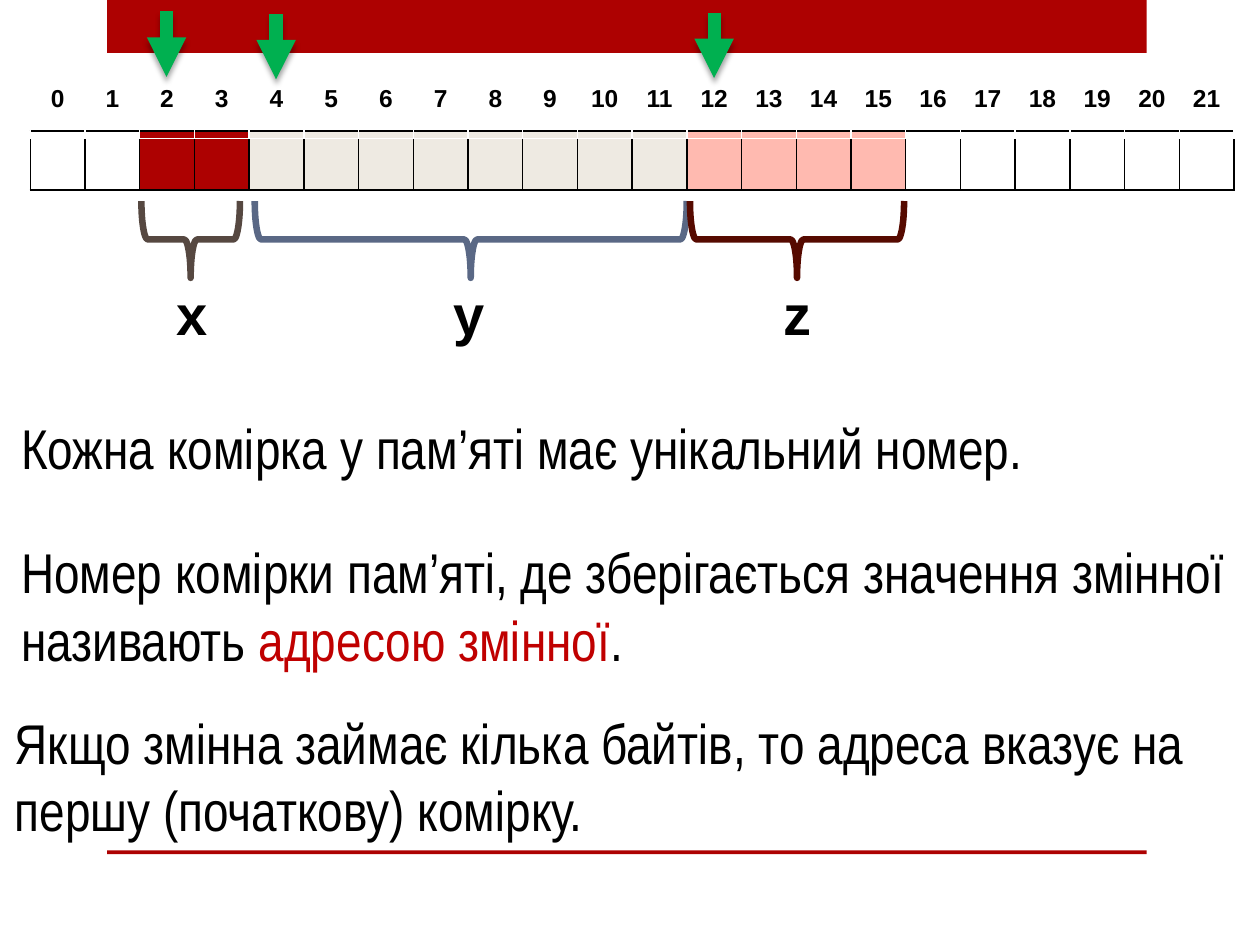
from dataclasses import dataclass
from lxml.etree import SubElement as Sub
from pptx import Presentation
from pptx.dml.color import RGBColor as Rgb
from pptx.enum.shapes import MSO_CONNECTOR as Link, MSO_SHAPE as Form
from pptx.enum.text import MSO_AUTO_SIZE as Fit, PP_ALIGN as Align
from pptx.oxml.ns import qn
from pptx.util import Inches, Pt


@dataclass(frozen=True)
class Theme:
    red: str = "AD0101"
    sand: str = "EEEAE2"
    pink: str = "FFBAB0"
    ink: str = "000000"
    mark: str = "C00000"
    green: str = "00B050"
    brown: str = "564841"
    blue: str = "5A6885"
    wine: str = "560A00"
    head: str = "Arial"
    body: str = "Arial Narrow"
    big: int = 32
    small: int = 14
    brace: float = 3.75
    arrow: float = 7.5
    edge: int = 1


T = Theme()
COLS, ROWS, CELLS = 100, 75, 22
VARS = [
    ("x", 2, 4, T.red, T.brown, 2.03, 3.83, 2.44, 0.9),
    ("y", 4, 12, T.sand, T.blue, 4.1, 11.99, 7.5, 1.1),
    ("z", 12, 16, T.pink, T.wine, 12.05, 15.96, 13.53, 1),
]
STRIP = (2.4, 10.4, 95.6, 4.7)
NUMS = (2.4, 6.3, 95.6, 4.7)
NOTES = [
    ((0.2, 32.3, 100, 6.4), [("Кожна комірка у пам’яті має унікальний номер.", T.ink)]),
    ((0.2, 42.2, 100, 11.8), [
        ("Номер комірки пам’яті, де зберігається значення змінної називають ", T.ink),
        ("адресою змінної", T.mark), (".", T.ink)]),
    ((-0.3, 55.7, 101.3, 11.8), [
        ("Якщо змінна займає кілька байтів, то адреса вказує на першу (початкову) комірку.", T.ink)]),
]

deck = Presentation()
deck.slide_width, deck.slide_height = Inches(10), Inches(7.5)
slide = deck.slides.add_slide(deck.slide_layouts[6])
shapes = slide.shapes


def place(*box):
    units = (deck.slide_width / COLS, deck.slide_height / ROWS) * 2
    return [round(n * u) for n, u in zip(box, units)]


def column(n):
    return STRIP[0] + n * STRIP[2] / CELLS


def add_run(para, text, face, size, tint=T.ink, bold=False):
    run = para.add_run()
    run.text = text
    font = run.font
    font.name, font.size, font.bold = face, Pt(size), bold
    font.color.rgb = Rgb.from_string(tint)


def add_text(box, runs, face, bold=False, indent=0):
    frame = shapes.add_textbox(*place(*box)).text_frame
    frame.word_wrap = True
    frame.auto_size = Fit.SHAPE_TO_FIT_TEXT
    para = frame.paragraphs[0]
    para._p.get_or_add_pPr().set("marL", str(Inches(indent)))
    for text, tint in runs:
        add_run(para, text, face, T.big, tint, bold)


def add_bar(box):
    bar = shapes.add_shape(Form.RECTANGLE, *place(*box))
    bar.shadow.inherit = False
    bar.fill.solid()
    bar.fill.fore_color.rgb = Rgb.from_string(T.red)
    bar.line.fill.background()


def add_grid(box):
    grid = shapes.add_table(1, CELLS, *place(*box)).table
    grid.first_row = grid.horz_banding = False
    for cell in grid.iter_cells():
        cell.fill.background()
    return list(grid.iter_cells())


def add_edges(cell):
    props = cell._tc.get_or_add_tcPr()
    for i, side in enumerate(("lnL", "lnR", "lnT", "lnB")):
        line = props.makeelement(qn("a:" + side), {"w": str(Pt(T.edge))})
        paint = Sub(line, qn("a:solidFill"))
        Sub(paint, qn("a:srgbClr"), val=T.ink)
        props.insert(i, line)


def add_strip(box):
    cells = add_grid(box)
    for name, start, end, tint, *rest in VARS:
        for cell in cells[start:end]:
            cell.fill.solid()
            cell.fill.fore_color.rgb = Rgb.from_string(tint)
    for cell in cells:
        add_edges(cell)


def add_nums(box):
    for n, cell in enumerate(add_grid(box)):
        para = cell.text_frame.paragraphs[0]
        para.alignment = Align.CENTER
        add_run(para, str(n), T.head, T.small, bold=True)


def add_brace(box, tint):
    left, top, wide, high = box
    shift = (wide - high) / 2
    brace = shapes.add_shape(
        Form.LEFT_BRACE, *place(left + shift, top - shift, high, wide))
    brace.rotation = 270
    brace.shadow.inherit = False
    brace.fill.background()
    brace.line.color.rgb = Rgb.from_string(tint)
    brace.line.width = Pt(T.brace)


def add_arrow(box):
    left, top, wide, high = box
    arrow = shapes.add_connector(Link.STRAIGHT, *place(left, top, left + wide, top + high))
    arrow.line.color.rgb = Rgb.from_string(T.green)
    arrow.line.width = Pt(T.arrow)
    Sub(arrow.line._ln, qn("a:tailEnd"), type="triangle")
    effects = Sub(arrow._element.spPr, qn("a:effectLst"))
    shade = Sub(effects, qn("a:outerShdw"), blurRad=str(Pt(3)), dist=str(Pt(3)),
                dir="5400000", rotWithShape="0")
    tint = Sub(shade, qn("a:srgbClr"), val=T.ink)
    Sub(tint, qn("a:alpha"), val="35000")


def main():
    add_bar((8.5, 0, 82.5, 4.2))
    add_bar((8.5, 67.5, 82.5, 0.3))
    add_strip(STRIP)
    add_nums(NUMS)
    for name, start, end, fill, tint, left, right, label, top in VARS:
        add_text((column(label), 21.7, 5, 6.4), [(name, T.ink)], T.head, True)
        span = column(right) - column(left)
        add_brace((column(left), 15.95, span, 6.1), tint)
    for box, runs in NOTES:
        add_text(box, runs, T.body, indent=0.05)
    for name, start, end, fill, tint, left, right, label, top in VARS:
        add_arrow((column(start + 0.49), top, 0, 5.2))
    deck.save("out.pptx")


if __name__ == "__main__":
    main()
